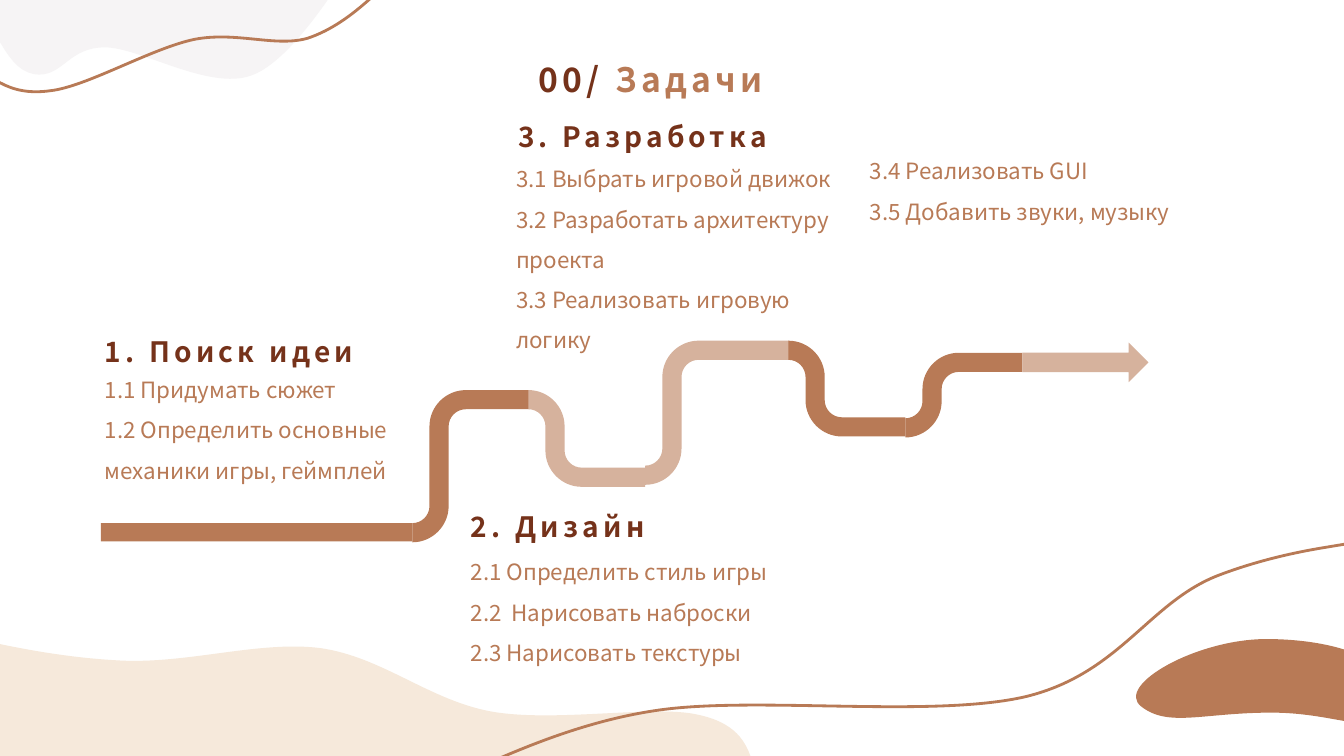
from pptx import Presentation
from pptx.dml.color import RGBColor
from pptx.enum.shapes import MSO_SHAPE
from pptx.enum.text import MSO_AUTO_SIZE, PP_ALIGN
from pptx.oxml.ns import qn
from pptx.util import Pt

PX = 9144
FONT = "Noto Sans CJK SC"
DARK, BROWN, TAN = "75321A", "B87A56", "D6B29D"
GREY, CREAM = "F6F4F5", "F6E9DB"
ROUNDNESS = 0.55
ROAD_WIDTH, INNER_RADIUS, OUTER_RADIUS = 19, 17, 36


def color(hex_string):
    return RGBColor.from_string(hex_string)


def add_text(page, paragraphs, left, top, width, height, size=16, bold=False,
             spacing=0, line_spacing=None, align=PP_ALIGN.LEFT):
    box = page.shapes.add_textbox(left * PX, top * PX, width * PX, height * PX)
    frame = box.text_frame
    frame.word_wrap = True
    frame.auto_size = MSO_AUTO_SIZE.SHAPE_TO_FIT_TEXT
    for index, spans in enumerate(paragraphs):
        para = frame.add_paragraph() if index else frame.paragraphs[0]
        para.alignment = align
        if line_spacing:
            para.line_spacing = line_spacing
        for text, tint in spans:
            span = para.add_run()
            span.text = text
            span.font.name = FONT
            span.font.size = Pt(size)
            span.font.bold = bold
            span.font.color.rgb = color(tint)
            if spacing:
                span._r.get_or_add_rPr().set("spc", str(spacing * 100))


deck = Presentation()
deck.slide_width = 1333 * PX
deck.slide_height = 750 * PX
page = deck.slides.add_slide(deck.slide_layouts[6])

outlines = []
for left, start, end, right, fill in [
    (640, 481, 338, 783, TAN),
    (898, 434, 350, 1014, BROWN),
    (782, 338, 433, 898, BROWN),
    (409, 538, 387, 525, BROWN),
    (524, 387, 483, 640, TAN),
]:
    way = 1 if end > start else -1
    near, far = left + INNER_RADIUS, left + OUTER_RADIUS
    bend = near + OUTER_RADIUS
    start_inner, end_inner = start + way * ROAD_WIDTH, end - way * ROAD_WIDTH
    start_bend, end_bend = start + way * OUTER_RADIUS, end - way * OUTER_RADIUS
    outlines.append((fill, None, [
        (left, start), (left, start_inner),
        (near, start_inner, near, start_bend), (near, end_bend),
        (near, end, bend, end), (right, end),
        (right, end_inner), (bend, end_inner),
        (far, end_inner, far, end_bend), (far, start_bend),
        (far, start, left, start),
    ]))

outlines += [
    (GREY, None, [
        (-2, -2), (327, -2), (325, 0), (304, 30, 275, 66, 249, 75),
        (207, 90, 139, 47, 104, 47), (69, 47, 63, 74, 39, 74),
        (23, 74, 12, 62, 2, 45), (-2, 39)]),
    (None, BROWN, [
        (-5, -6), (371, -6), (368, -2), (349, 15, 329, 30, 305, 38),
        (273, 47, 235, 31, 193, 39), (150, 48, 86, 86, 50, 90),
        (28, 93, 13, 89, 0, 82), (-5, 78)]),
    (CREAM, None, [
        (0, 639), (0, 756), (746, 756), (746, 755),
        (740, 736, 730, 717, 692, 709), (649, 699, 551, 717, 488, 706),
        (426, 695, 380, 652, 318, 643), (256, 635, 183, 660, 114, 655),
        (80, 653, 45, 648, 10, 641)]),
    (None, BROWN, [
        (1339, 539), (1339, 762), (472, 762), (480, 759),
        (523, 740, 583, 715, 650, 705), (747, 690, 925, 713, 1018, 691),
        (1111, 668, 1139, 598, 1208, 571), (1242, 558, 1278, 549, 1315, 543)]),
    (BROWN, None, [
        (1132, 701), (1105, 680, 1187, 634, 1256, 634),
        (1324, 634, 1394, 655, 1380, 701), (1364, 734, 1330, 707, 1261, 707),
        (1193, 707, 1159, 722, 1132, 701)]),
]

for fill, line, segments in outlines:
    points = [segments[0]]
    curve_starts = []
    for segment in segments[1:]:
        if len(segment) > 2:
            curve_starts.append(len(points) - 1)
        if len(segment) == 4:
            corner, target = segment[:2], segment[2:]
            points += [tuple(p + (c - p) * ROUNDNESS for p, c in zip(anchor, corner))
                       for anchor in (points[-1], target)]
            points.append(target)
        else:
            points += zip(segment[::2], segment[1::2])
    scaled = [(x * PX, y * PX) for x, y in points]
    builder = page.shapes.build_freeform(*scaled[0], scale=1.0)
    builder.add_line_segments(scaled[1:], close=True)
    shape = builder.convert_to_shape()
    steps = list(shape._element.iter(qn("a:lnTo")))
    for first in curve_starts:
        curve = steps[first]
        for step in steps[first + 1:first + 3]:
            curve.append(step[0])
            step.getparent().remove(step)
        curve.tag = qn("a:cubicBezTo")
    shape.shadow.inherit = False
    if fill:
        shape.fill.solid()
        shape.fill.fore_color.rgb = color(fill)
    else:
        shape.fill.background()
    if line:
        shape.line.color.rgb = color(line)
        shape.line.width = Pt(2)
    else:
        shape.line.fill.background()

for preset, left, top, width, height, fill in [
    (MSO_SHAPE.RECTANGLE, 100, 519, 309, 18, BROWN),
    (MSO_SHAPE.RIGHT_ARROW, 1014, 340, 125, 39, TAN),
]:
    shape = page.shapes.add_shape(preset, left * PX, top * PX, width * PX, height * PX)
    shape.shadow.inherit = False
    shape.fill.solid()
    shape.fill.fore_color.rgb = color(fill)
    shape.line.fill.background()

add_text(page, [[("00/ ", DARK), ("Задачи", BROWN)]], 436, 54, 418, 50,
         size=24, bold=True, spacing=3, align=PP_ALIGN.CENTER)

for heading, left, top in [
    ("1. Поиск идеи", 94, 327),
    ("3. Разработка", 504, 114),
    ("2. Дизайн", 457, 501),
]:
    add_text(page, [[(heading, DARK)]], left, top, 377, 44,
             size=20, bold=True, spacing=3)

for tasks, left, top, height in [
    (["1.1 Придумать сюжет",
      "1.2 Определить основные механики игры, геймплей"], 94, 355, 127),
    (["3.1 Выбрать игровой движок",
      "3.2 Разработать архитектуру проекта",
      "3.3 Реализовать игровую логику"], 502, 146, 167),
    (["2.1 Определить стиль игры",
      "2.2  Нарисовать наброски",
      "2.3 Нарисовать текстуры"], 457, 536, 127),
    (["3.4 Реализовать GUI",
      "3.5 Добавить звуки, музыку"], 853, 138, 87),
]:
    add_text(page, [[(task, BROWN)] for task in tasks], left, top, 347, height,
             line_spacing=1.5)

deck.save("out.pptx")
